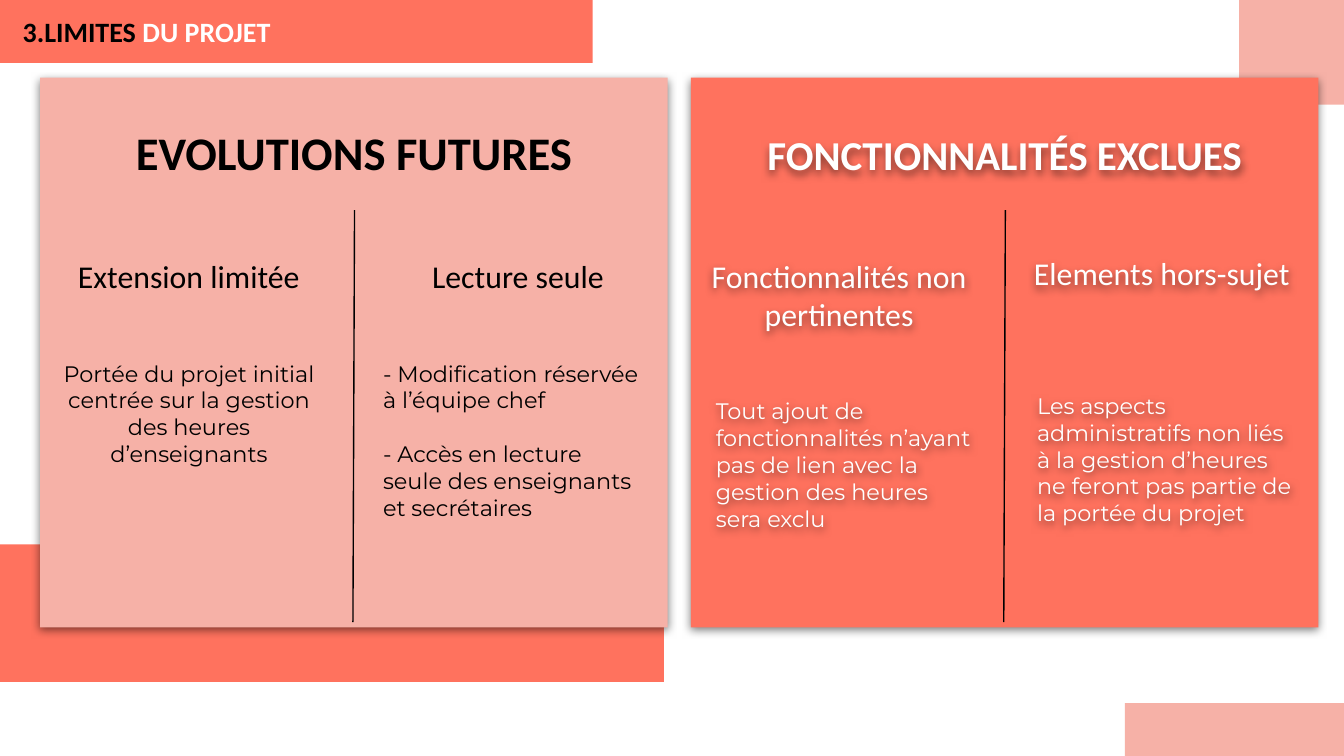
"""Build the project limits slide: two shadowed cards, each with two topics."""
from dataclasses import dataclass

from lxml import etree
from pptx import Presentation
from pptx import util as u
from pptx.dml.color import RGBColor
from pptx.enum import shapes, text
from pptx.oxml import parse_xml
from pptx.oxml.ns import nsdecls, qn


@dataclass(frozen=True)
class Theme:
    coral: RGBColor = RGBColor.from_string("FF725E")
    pink: RGBColor = RGBColor.from_string("F6B1A7")
    black: RGBColor = RGBColor.from_string("000000")
    white: RGBColor = RGBColor.from_string("FFFFFF")
    head: str = "Calibri"
    body: str = "Montserrat"
    large: int = 25
    title: int = 22
    sub: int = 17
    top: int = 15
    small: int = 12


theme = Theme()
left, center = text.PP_ALIGN.LEFT, text.PP_ALIGN.CENTER
deck = Presentation()
deck.slide_width, deck.slide_height = u.Cm(25.4), u.Cm(14.29)
slide = deck.slides.add_slide(deck.slide_layouts[6])


def panel(area, color, shade=False):
    box = slide.shapes.add_shape(shapes.MSO_SHAPE.RECTANGLE, *map(u.Cm, area))
    box.fill.solid()
    box.fill.fore_color.rgb = color
    box.line.fill.background()
    box.shadow.inherit = False
    if shade:
        cast(box)


def cast(shape):
    shape.shadow.inherit = False
    shape.element.spPr.find(qn("a:effectLst")).append(parse_xml(
        f'<a:outerShdw {nsdecls("a")} blurRad="57150" dist="19050" dir="5400000" algn="bl" rotWithShape="0">'
        '<a:srgbClr val="000000"><a:alpha val="50000"/></a:srgbClr></a:outerShdw>'))


for area, color in [
    ((0, 10.29, 12.55, 2.6), theme.coral),
    ((0, 0, 11.2, 1.19), theme.coral),
    ((23.42, 0, 1.98, 1.98), theme.pink),
    ((21.26, 13.29, 4.14, 1), theme.pink),
]:
    panel(area, color)

for x, color, line in [(0.76, theme.pink, 6.7), (13.06, theme.coral, 19)]:
    panel((x, 1.47, 11.86, 10.39), color, True)
    rule = slide.shapes.add_connector(
        shapes.MSO_CONNECTOR.STRAIGHT, u.Cm(line), u.Cm(3.97), u.Cm(line - 0.03), u.Cm(11.76))
    rule.line.color.rgb = theme.black
    rule.line.width = u.Pt(0.75)
    etree.SubElement(rule.element.spPr, qn("a:effectLst"))

title = (theme.head, True)
sub = (theme.head, False)
body = (theme.body, False)
labels = [
    ((1.19, 1.96, 11, 1.7), "EVOLUTIONS FUTURES", title, theme.large, theme.black, center),
    ((0.89, 4.6, 5.36, 1.14), "Extension limitée", sub, theme.sub, theme.black, center),
    ((0.91, 6.55, 5.33, 4.62),
     "Portée du projet initial centrée sur la gestion des heures d’enseignants",
     body, theme.small, theme.black, center),
    ((7.11, 4.6, 5.36, 1.14), "Lecture seule", sub, theme.sub, theme.black, center),
    ((6.99, 6.55, 5.33, 4.34),
     "- Modification réservée à l’équipe chef\n"
     "- Accès en lecture seule des enseignants et secrétaires",
     body, theme.small, theme.black, left),
    ((13.49, 1.47, 11, 2.18), "FONCTIONNALITÉS EXCLUES", title, theme.title, theme.white, center),
    ((13.18, 4.6, 5.36, 1.98), "Fonctionnalités non pertinentes", sub, theme.sub, theme.white, center),
    ((13.28, 7.26, 5.33, 3.63),
     "Tout ajout de fonctionnalités n’ayant pas de lien avec la gestion des heures sera exclu",
     body, theme.small, theme.white, left),
    ((18.9, 4.55, 6.12, 1.14), "Elements hors-sujet", sub, theme.sub, theme.white, center),
    ((19.35, 7.16, 5.33, 4.34),
     "Les aspects administratifs non liés à la gestion d’heures ne feront pas partie de la portée du projet",
     body, theme.small, theme.white, left),
    ((0.18, 0.1, 8.33, 0.84), "3.LIMITES ", title, theme.top, theme.black, left),
]
for area, words, (font, bold), size, color, align in labels:
    box = slide.shapes.add_textbox(*map(u.Cm, area))
    frame = box.text_frame
    frame.word_wrap = True
    frame.margin_left = frame.margin_right = frame.margin_top = frame.margin_bottom = u.Cm(0.25)
    if bold and align == center:
        frame.vertical_anchor = text.MSO_ANCHOR.BOTTOM
    frame.text = words
    if size == theme.top:
        frame.paragraphs[0].add_run().text = "DU PROJET"
    for i, para in enumerate(frame.paragraphs):
        para.alignment = align
        if bold:
            para.line_spacing = 0.9
        if i:
            para.space_before = u.Pt(14.5)
        for j, run in enumerate(para.runs):
            run.font.name, run.font.size, run.font.bold = font, u.Pt(size), bold
            run.font.color.rgb = theme.white if j else color
    if color == theme.white:
        cast(box)

deck.save("out.pptx")
